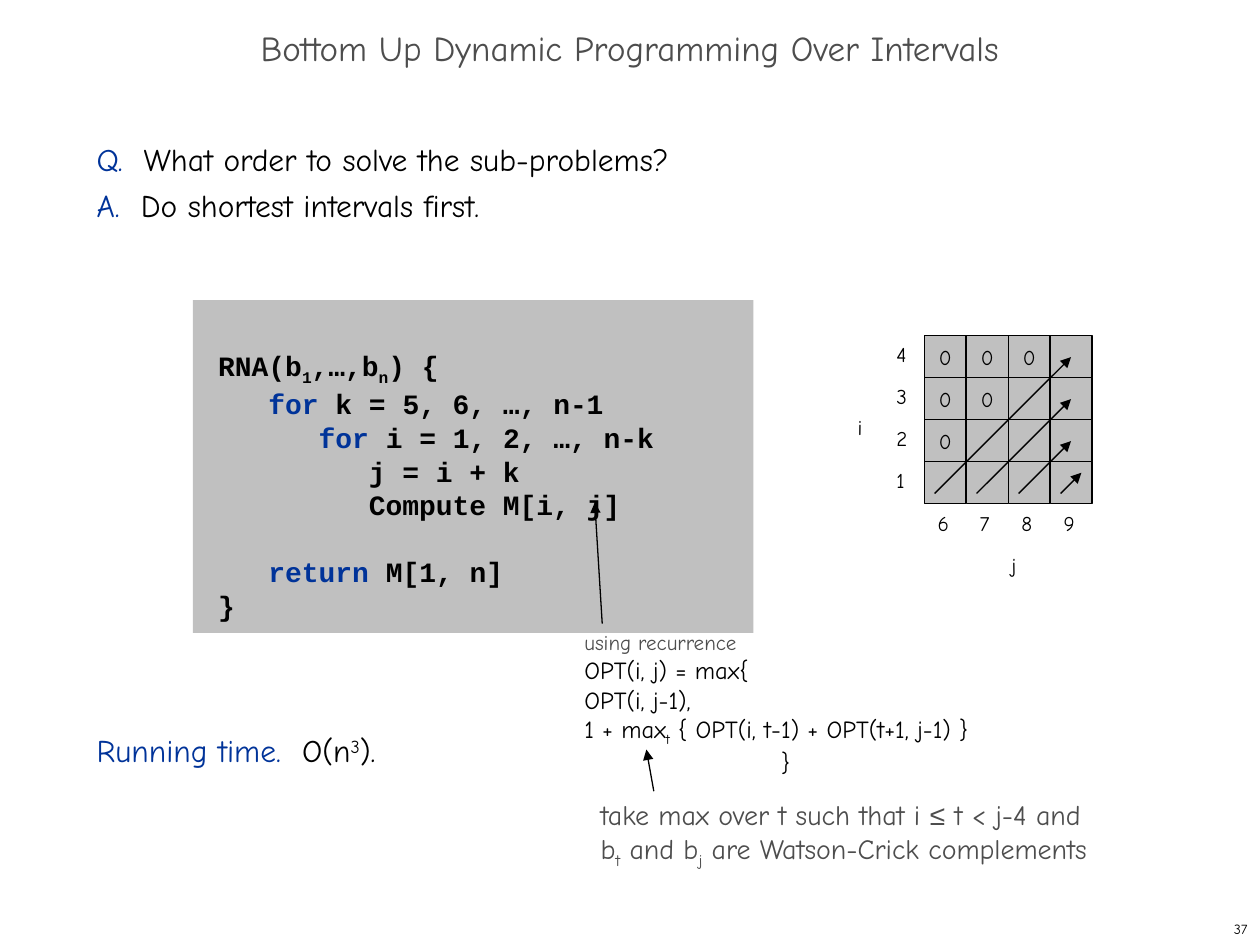
from lxml import etree
from pptx import Presentation
from pptx import util as u
from pptx.dml.color import RGBColor
from pptx.enum import shapes, text
from pptx.oxml.ns import qn

COLORS = {"ink": "000000", "gray": "4D4D4D", "blue": "003399", "panel": "C0C0C0"}
HAND, CODE = "Comic Neue", "Courier New"
CELL = 2.54 / 3
GRID_LEFT, GRID_TOP, GRID_SIZE = 18.63, 6.77, 4


def rgb(name):
    return RGBColor.from_string(COLORS[name])


class IntervalSlide:
    def __init__(self, slide):
        self.slide = slide

    def fill_text(self, shape, paragraphs, frame=None, para=None, size=12, color="ink",
                  face=HAND, bold=False):
        """Each paragraph is a list of runs: a string or (string, overrides).

        A leading dict in a paragraph holds paragraph settings; "indent" is in cm.
        """
        tf = shape.text_frame
        frame_format = {
            "word_wrap": False, "auto_size": text.MSO_AUTO_SIZE.NONE,
            "vertical_anchor": text.MSO_ANCHOR.TOP,
            "margin_left": u.Cm(0.25), "margin_right": u.Cm(0.25),
            "margin_top": u.Cm(0.13), "margin_bottom": u.Cm(0.13), **(frame or {})}
        for key, value in frame_format.items():
            setattr(tf, key, value)
        for number, runs in enumerate(paragraphs):
            p = tf.add_paragraph() if number else tf.paragraphs[0]
            settings = {"alignment": text.PP_ALIGN.LEFT, **(para or {})}
            if isinstance(runs[0], dict):
                settings.update(runs[0])
                runs = runs[1:]
            indent = settings.pop("indent", None)
            if indent:
                p._p.get_or_add_pPr().set("marL", str(u.Cm(indent)))
            for key, value in settings.items():
                setattr(p, key, value)
            for run in runs:
                words, special = run if isinstance(run, tuple) else (run, {})
                if words == "\n":
                    p.add_line_break()
                    continue
                style = {"size": size, "color": color, "face": face, **special}
                r = p.add_run()
                r.text = words
                font_format = {"name": style["face"], "size": u.Pt(style["size"]), "bold": bold}
                for key, value in font_format.items():
                    setattr(r.font, key, value)
                r.font.color.rgb = rgb(style["color"])
                if "baseline" in style:
                    r._r.get_or_add_rPr().set("baseline", str(style["baseline"] * 1000))

    def label(self, left, top, width, height, paragraphs, **style):
        box = self.slide.shapes.add_textbox(*map(u.Cm, (left, top, width, height)))
        self.fill_text(box, paragraphs, **style)

    def panel(self, left, top, width, height, paragraphs=(), outlined=False, **style):
        rect = self.slide.shapes.add_shape(
            shapes.MSO_SHAPE.RECTANGLE, *map(u.Cm, (left, top, width, height)))
        rect.shadow.inherit = False
        rect.fill.solid()
        rect.fill.fore_color.rgb = rgb("panel")
        if outlined:
            rect.line.color.rgb = rgb("ink")
            rect.line.width = u.Pt(0.75)
        else:
            rect.line.fill.background()
        if paragraphs:
            self.fill_text(rect, paragraphs, **style)

    def arrow(self, *ends):
        line = self.slide.shapes.add_connector(
            shapes.MSO_CONNECTOR.STRAIGHT, *map(u.Cm, ends))
        line.line.color.rgb = rgb("ink")
        line.line.width = u.Pt(0.75)
        etree.SubElement(line.line._get_or_add_ln(), qn("a:tailEnd"), type="triangle")
        etree.SubElement(line._element.spPr, qn("a:effectLst"))


def sub(words):
    return words, {"baseline": -25}


def blue(words):
    return words, {"color": "blue"}


def add_matrix(page):
    centered = {"alignment": text.PP_ALIGN.CENTER}
    middle = {"vertical_anchor": text.MSO_ANCHOR.MIDDLE}
    for row in range(GRID_SIZE):
        for col in range(GRID_SIZE):
            page.panel(GRID_LEFT + col * CELL, GRID_TOP + row * CELL, CELL, CELL,
                       [["0"]] if row + col < GRID_SIZE - 1 else (),
                       outlined=True, frame=middle, para=centered)
    for step in range(GRID_SIZE):
        shift = step * CELL
        tip = (21.59, 7.2 + shift) if step < GRID_SIZE - 1 else (21.8, 9.53)
        page.arrow(18.84 + shift, 9.95, *tip)
        page.label(17.82, 6.76 + shift, 0.72, 0.76, [[str(GRID_SIZE - step)]])
        page.label(18.65 + shift, 10.16, 0.72, 0.76, [[str(6 + step)]])
    page.label(17.04, 8.23, 0.61, 0.76, [["i"]])
    page.label(20.14, 11, 0.61, 0.76, [["j"]])


def main():
    deck = Presentation()
    deck.slide_width, deck.slide_height = u.Cm(25.4), u.Cm(19.05)
    page = IntervalSlide(deck.slides.add_slide(deck.slide_layouts[6]))
    middle = {"word_wrap": True, "vertical_anchor": text.MSO_ANCHOR.MIDDLE}
    body = {"size": 18, "frame": {"word_wrap": True}, "para": {"line_spacing": u.Pt(26)}}

    page.label(20.12, 18.42, 5.28, 0.63, [["37"]], size=8, frame=middle,
               para={"alignment": text.PP_ALIGN.RIGHT})
    page.label(0, 0.43, 25.4, 1.27, [["Bottom Up Dynamic Programming Over Intervals"]],
               size=20, color="gray", frame=middle,
               para={"alignment": text.PP_ALIGN.CENTER, "line_spacing": 0.7})
    page.label(1.7, 2.54, 21.8, 2.2, [
        [blue("Q.  "), "What order to solve the sub-problems?"],
        [blue("A.  "), "Do shortest intervals first."]], **body)
    page.label(1.7, 14.46, 9, 1.2, [
        [blue("Running time.  "), "O(n", ("3", {"baseline": 30}), ")."]], **body)

    page.panel(3.89, 6.05, 11.3, 6.71, [
        ["RNA(b", sub("1"), ",…,b", sub("n"), ") {"],
        [blue("   for"), " k = 5, 6, …, n-1"],
        [blue("      for"), " i = 1, 2, …, n-k"],
        ["         j = i + k"],
        ["         Compute M[i, j]"],
        [{"space_before": u.Pt(19)}, blue("   return"), " M[1, n]"],
        ["}"]], size=16, face=CODE, bold=True,
        frame={"word_wrap": True, "margin_left": u.Cm(0.51), "margin_top": u.Cm(0.98)})
    page.arrow(12.14, 12.57, 11.99, 10.13)
    page.label(11.53, 12.57, 8.26, 3.23, [
        [("using recurrence", {"size": 12, "color": "gray"})],
        ["OPT(i, j) = max{"],
        ["OPT(i, j-1),"],
        ["1 + max", sub("t"), " { OPT(i, t-1) + OPT(t+1, j-1) }"],
        [{"indent": 3.97}, "}"]], size=14)

    add_matrix(page)

    page.label(11.86, 15.95, 10.39, 1.7, [
        ["take max over t such that i ", ("≤", {"face": "Arial"}), " t < j-4 and", ("\n", {}),
         "b", sub("t"), " and b", sub("j"), " are Watson-Crick complements"]],
        size=16, color="gray")
    page.arrow(13.18, 15.95, 13.03, 15.11)
    deck.save("out.pptx")


if __name__ == "__main__":
    main()
